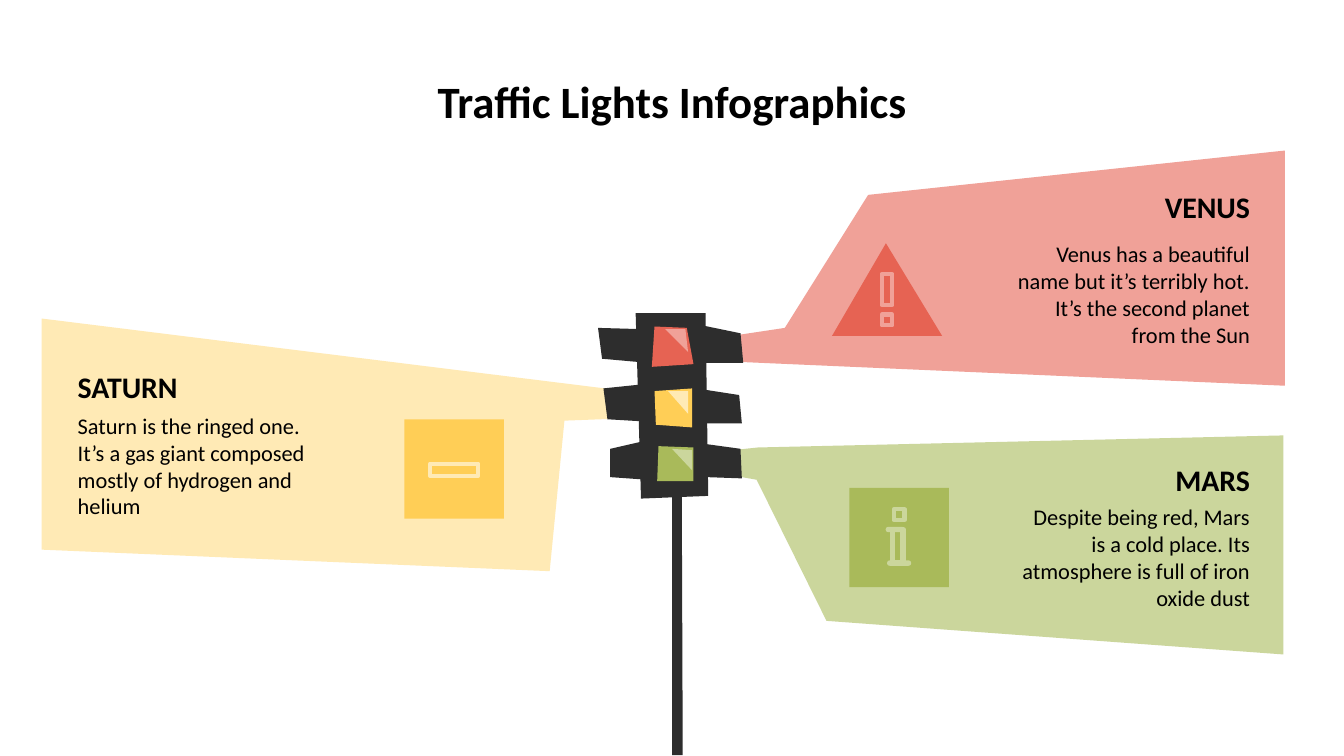
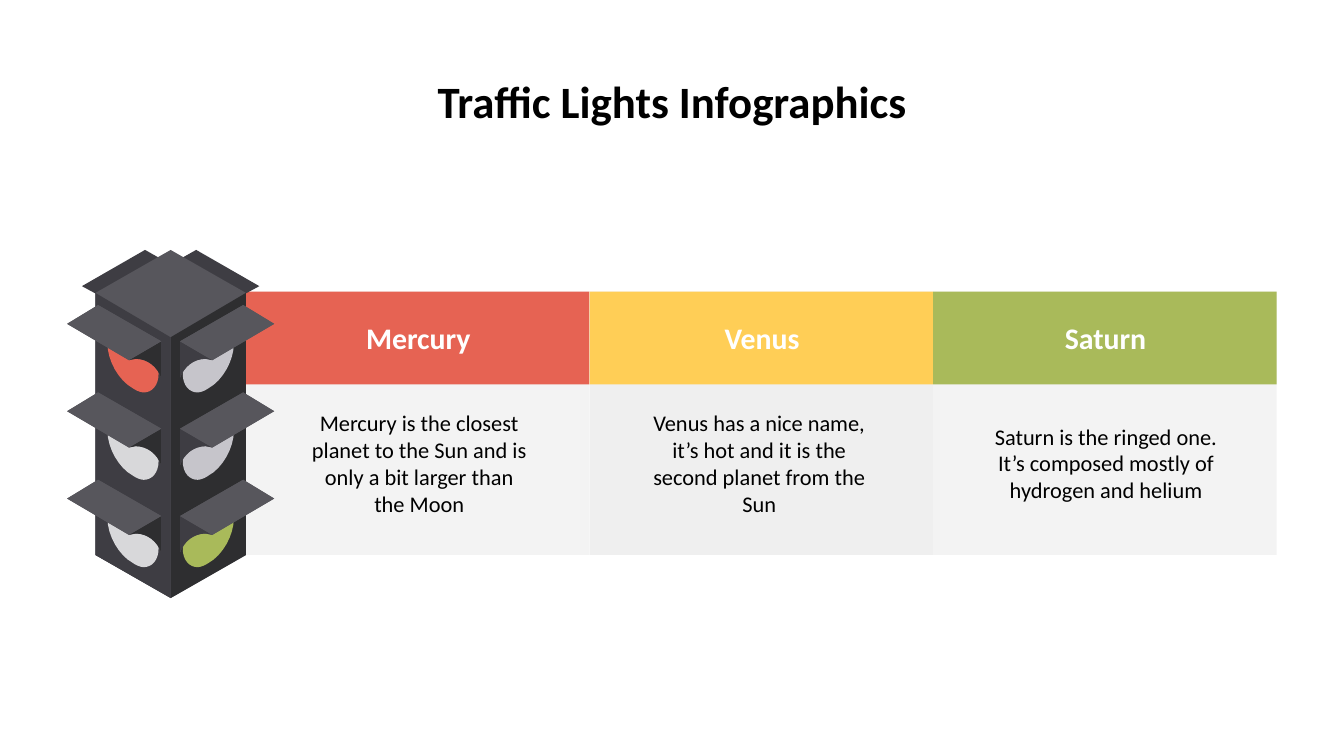
"""Build two traffic light infographic slides."""
from dataclasses import dataclass

from pptx import Presentation
from pptx.dml.color import RGBColor
from pptx.enum.shapes import MSO_SHAPE
from pptx.enum.text import MSO_ANCHOR, MSO_AUTO_SIZE, PP_ALIGN
from pptx.oxml.ns import qn
from pptx.oxml.xmlchemy import OxmlElement
from pptx.util import Inches, Pt

RECT, ROUND, TRIANGLE = MSO_SHAPE.RECTANGLE, MSO_SHAPE.ROUNDED_RECTANGLE, MSO_SHAPE.ISOSCELES_TRIANGLE
LEFT, CENTER, RIGHT = PP_ALIGN.LEFT, PP_ALIGN.CENTER, PP_ALIGN.RIGHT
TOP, MIDDLE = MSO_ANCHOR.TOP, MSO_ANCHOR.MIDDLE
NO_AUTOFIT = MSO_AUTO_SIZE.NONE


@dataclass(frozen=True)
class Theme:
    font: str = "Calibri"
    title_size: int = 24
    heading_size: int = 16
    body_size: int = 12
    black: str = "000000"
    white: str = "FFFFFF"
    red: str = "E66353"
    yellow: str = "FFCE56"
    green: str = "A9BA5A"
    pale_red: str = "F0A198"
    pale_yellow: str = "FFEAB5"
    pale_green: str = "CBD69C"
    housing: str = "2D2D2D"
    roof: str = "57565C"
    left_side: str = "3E3D43"
    right_side: str = "2E2E30"
    left_off: str = "D8D8DA"
    right_off: str = "C6C5CB"
    column: str = "F3F3F3"
    middle_column: str = "EFEFEF"


T = Theme()
SLIDE_WIDTH, ASPECT = 10, 16 / 9
TITLE = "Traffic Lights Infographics"

PANELS = [
    (T.pale_green, [(5.45, 3.35), (5.64, 3.33), (9.55, 3.24), (9.55, 4.87), (6.15, 4.62), (5.63, 3.57), (5.46, 3.54)]),
    (T.pale_red, [(5.44, 2.5), (5.84, 2.44), (6.46, 1.45), (9.56, 1.12), (9.56, 2.87), (5.43, 2.69)]),
    (T.pale_yellow, [(0.31, 2.37), (0.31, 4.09), (4.09, 4.25), (4.2, 3.13), (4.73, 3.11), (4.66, 2.91)]),
]
PLANETS = [
    ("SATURN", "Saturn is the ringed one. It’s a gas giant composed mostly of hydrogen and helium",
     LEFT, 0.48, 2.73, 3.04, 0.85),
    ("VENUS", "Venus has a beautiful name but it’s terribly hot. It’s the second planet from the Sun",
     RIGHT, 7.47, 1.39, 1.67, 1.04),
    ("MARS", "Despite being red, Mars is a cold place. Its atmosphere is full of iron oxide dust",
     RIGHT, 7.47, 3.42, 3.72, 0.85),
]
SIGNS = [
    [(RECT, (3.01, 3.12, 0.74, 0.74), T.yellow, None, 0),
     (RECT, (3.2, 3.45, 0.36, 0.09), None, T.pale_yellow, 2.25)],
    [(TRIANGLE, (6.19, 1.81, 0.82, 0.69), T.red, None, 0),
     (RECT, (6.56, 2.04, 0.08, 0.23), T.red, T.pale_red, 2.25),
     (RECT, (6.56, 2.34, 0.08, 0.08), T.red, T.pale_red, 2.25)],
    [(RECT, (6.32, 3.63, 0.74, 0.74), T.green, None, 0),
     (RECT, (6.64, 3.94, 0.08, 0.25), T.green, T.pale_green, 3),
     (ROUND, (6.6, 4.17, 0.18, 0.04), T.pale_green, None, 0),
     (ROUND, (6.59, 3.92, 0.14, 0.04), T.pale_green, None, 0),
     (RECT, (6.65, 3.79, 0.08, 0.08), T.green, T.pale_green, 2.25)],
]
HOUSING = [
    [(4.73, 2.33), (4.77, 3.71), (5.27, 3.69), (5.25, 2.33)],
    [(4.45, 2.44), (4.48, 2.67), (4.82, 2.7), (4.8, 2.45)],
    [(4.78, 2.86), (4.49, 2.89), (4.52, 3.12), (4.86, 3.14)],
    [(4.8, 3.28), (4.54, 3.34), (4.54, 3.55), (4.82, 3.57)],
    [(5.22, 3.3), (5.23, 3.55), (5.52, 3.56), (5.51, 3.34)],
    [(5.18, 2.89), (5.19, 3.15), (5.52, 3.15), (5.5, 2.94)],
    [(5.22, 2.42), (5.19, 2.7), (5.53, 2.7), (5.51, 2.48)],
    [(5, 2.86), (5, 5.62), (5.08, 5.62), (5.07, 2.86)],
]
LAMPS = [
    (T.yellow, [(4.87, 2.91), (5.15, 2.89), (5.15, 3.18), (4.88, 3.16)]),
    (T.pale_yellow, [(4.97, 2.91), (5.12, 2.91), (5.12, 3.08)]),
    (T.red, [(5.11, 2.44), (4.87, 2.43), (4.85, 2.73), (5.16, 2.71)]),
    (T.pale_red, [(4.95, 2.45), (5.1, 2.45), (5.12, 2.62)]),
    (T.green, [(4.9, 3.32), (5.16, 3.33), (5.16, 3.58), (4.89, 3.58)]),
    (T.pale_green, [(5, 3.34), (5.15, 3.35), (5.15, 3.5)]),
]

COLUMNS = [
    ("Mercury", "Mercury is the closest planet to the Sun and is only a bit larger than the Moon",
     T.red, T.column, 2.28),
    ("Venus", "Venus has a nice name, it’s hot and it is the second planet from the Sun",
     T.yellow, T.middle_column, 4.81),
    ("Saturn", "Saturn is the ringed one. It’s composed mostly of hydrogen and helium",
     T.green, T.column, 7.39),
]
COLUMNS_LEFT, COLUMNS_RIGHT, COLUMNS_TOP = 1.83, 9.5, 2.17
COLUMN_WIDTH = (COLUMNS_RIGHT - COLUMNS_LEFT) / len(COLUMNS)

AXIS, FIRST_ROW, ROW_PITCH = 1.27, 2.27, 0.65
BACK_LID = [(0.19, 1.86), (-0.04, 1.99), (0.42, 2.26), (0.66, 2.13)]
BODY = [(0, 1.86), (-0.56, 2.18), (-0.56, 4.13), (0, 4.45), (0.56, 4.13), (0.56, 2.18)]
SIDE = [(0.56, 2.18), (0, 2.51), (0, 4.45), (0.56, 4.13)]
ROOF = [(0.54, 0), (0.07, 0.27), (0.31, 0.41), (0.77, 0.14)]
FLAP = [(0.07, 0.27), (0.07, 0.54), ((0.1, 0.46), (0.17, 0.4), (0.26, 0.4)), (0.31, 0.41)]
HOOD = [ROOF[0], *FLAP, ROOF[3]]
LENS = [
    (0.37, 0.16), ((0.34, 0.16), (0.31, 0.16), (0.28, 0.18)), ((0.18, 0.24), (0.09, 0.39), (0.09, 0.51)),
    ((0.09, 0.6), (0.14, 0.65), (0.2, 0.65)), ((0.22, 0.65), (0.25, 0.64), (0.28, 0.62)),
    ((0.39, 0.56), (0.47, 0.41), (0.47, 0.29)), ((0.47, 0.21), (0.43, 0.16), (0.37, 0.16)),
]
FACES = [
    (1, T.right_side, T.left_side, [T.right_off, T.right_off, T.green]),
    (-1, T.left_side, T.right_side, [T.red, T.left_off, T.left_off]),
]


def rgb(color):
    """Turn a hex string into a colour."""
    return RGBColor.from_string(color)


def paint(shape, fill, line=None, width=0):
    """Set fill and outline, without a shadow."""
    shape.shadow.inherit = False
    if fill:
        shape.fill.solid()
        shape.fill.fore_color.rgb = rgb(fill)
    else:
        shape.fill.background()
    if line:
        shape.line.color.rgb = rgb(line)
        shape.line.width = Pt(width)
        shape._element.spPr.find(qn("a:ln")).append(OxmlElement("a:round"))
    else:
        shape.line.fill.background()
    return shape


def add_preset(shapes, kind, box, fill, line=None, width=0):
    """Add a painted preset shape."""
    return paint(shapes.add_shape(kind, *map(Inches, box)), fill, line, width)


def flatten(outline, steps=8):
    """Turn points and cubic curve segments into plain points."""
    points = []
    for part in outline:
        if isinstance(part[0], tuple):
            controls = (points[-1], *part)
            for step in range(1, steps + 1):
                t = step / steps
                weights = ((1 - t) ** 3, 3 * t * (1 - t) ** 2, 3 * t * t * (1 - t), t ** 3)
                points.append(tuple(sum(w * c[i] for w, c in zip(weights, controls)) for i in (0, 1)))
        else:
            points.append(part)
    return points


def add_outline(shapes, outline, fill, origin=(0, 0), side=1):
    """Add a closed outline, mirrored when side is -1."""
    points = [(Inches(origin[0] + side * x), Inches(origin[1] + y)) for x, y in flatten(outline)]
    builder = shapes.build_freeform(*points[0])
    builder.add_line_segments(points[1:], close=True)
    return paint(builder.convert_to_shape(), fill)


def write(shape, text, size, align, color=T.black, bold=False, anchor=MIDDLE,
          insets=(0.1, 0.1, 0.1, 0.1), indent=0):
    """Write one formatted paragraph into a shape."""
    frame = shape.text_frame
    frame.text = text
    frame.word_wrap = True
    frame.auto_size = NO_AUTOFIT
    frame.vertical_anchor = anchor
    frame.margin_left, frame.margin_top, frame.margin_right, frame.margin_bottom = map(Inches, insets)
    paragraph = frame.paragraphs[0]
    paragraph.alignment = align
    if indent:
        paragraph._p.get_or_add_pPr().set("marL", str(Inches(indent)))
    font = paragraph.runs[0].font
    font.name, font.size, font.bold = T.font, Pt(size), bold
    font.color.rgb = rgb(color)


def add_text(shapes, box, *args, **kwargs):
    """Add a text box."""
    write(shapes.add_textbox(*map(Inches, box)), *args, **kwargs)


def add_slide(prs):
    """Add a slide with the shared title."""
    slide = prs.slides.add_slide(prs.slide_layouts[5])
    title = slide.shapes.title
    title.left, title.top, title.width, title.height = map(Inches, (0.5, 0.45, 9, 0.44))
    write(title, TITLE, T.title_size, CENTER, bold=True, anchor=TOP)
    return slide.shapes


def build_signal_panels(prs):
    """Build the slide with panels beamed from a traffic light."""
    shapes = add_slide(prs)
    for color, outline in PANELS:
        add_outline(shapes, outline, color)
    for name, fact, align, left, name_top, fact_top, fact_height in PLANETS:
        add_text(shapes, (left, name_top, 1.93, 0.3), name, T.heading_size, align, bold=True)
        add_text(shapes, (left, fact_top, 1.93, fact_height), fact, T.body_size, align)
    for sign in SIGNS:
        for kind, box, fill, line, width in sign:
            part = add_preset(shapes, kind, box, fill, line, width)
            if kind != RECT:
                part.adjustments[0] = 0.49 if kind == TRIANGLE else 0.5
    light = shapes.add_group_shape().shapes
    for outline in HOUSING:
        add_outline(light, outline, T.housing)
    for color, outline in LAMPS:
        add_outline(light, outline, color)


def build_planet_columns(prs):
    """Build the slide with three columns beside a traffic light."""
    shapes = add_slide(prs)
    for i, (name, fact, color, shade, fact_left) in enumerate(COLUMNS):
        left = COLUMNS_LEFT + i * COLUMN_WIDTH
        add_preset(shapes, RECT, (left, COLUMNS_TOP, COLUMN_WIDTH, 1.96), shade)
        add_text(shapes, (fact_left, 2.98, 1.67, 0.92), fact, T.body_size, CENTER,
                 insets=(0, 0.01, 0, 0), indent=0.01)
        header = add_preset(shapes, RECT, (left, COLUMNS_TOP, COLUMN_WIDTH, 0.69), color)
        write(header, name, T.heading_size, CENTER, T.white, bold=True, indent=0.01)

    light = shapes.add_group_shape().shapes
    for side, *_ in FACES:
        add_outline(light, BACK_LID, T.left_side, (AXIS, 0), side)
    add_outline(light, BODY, T.roof, (AXIS, 0))
    for side, face, flap, lenses in FACES:
        add_outline(light, SIDE, face, (AXIS, 0), side)
        for row, lens in enumerate(lenses):
            origin = (AXIS, FIRST_ROW + row * ROW_PITCH)
            for outline, color in ((LENS, lens), (HOOD, T.roof), (FLAP, flap), (ROOF, T.roof)):
                add_outline(light, outline, color, origin, side)


def main():
    """Build and save the deck."""
    prs = Presentation()
    prs.slide_width, prs.slide_height = Inches(SLIDE_WIDTH), Inches(SLIDE_WIDTH / ASPECT)
    build_signal_panels(prs)
    build_planet_columns(prs)
    prs.save("out.pptx")


if __name__ == "__main__":
    main()
